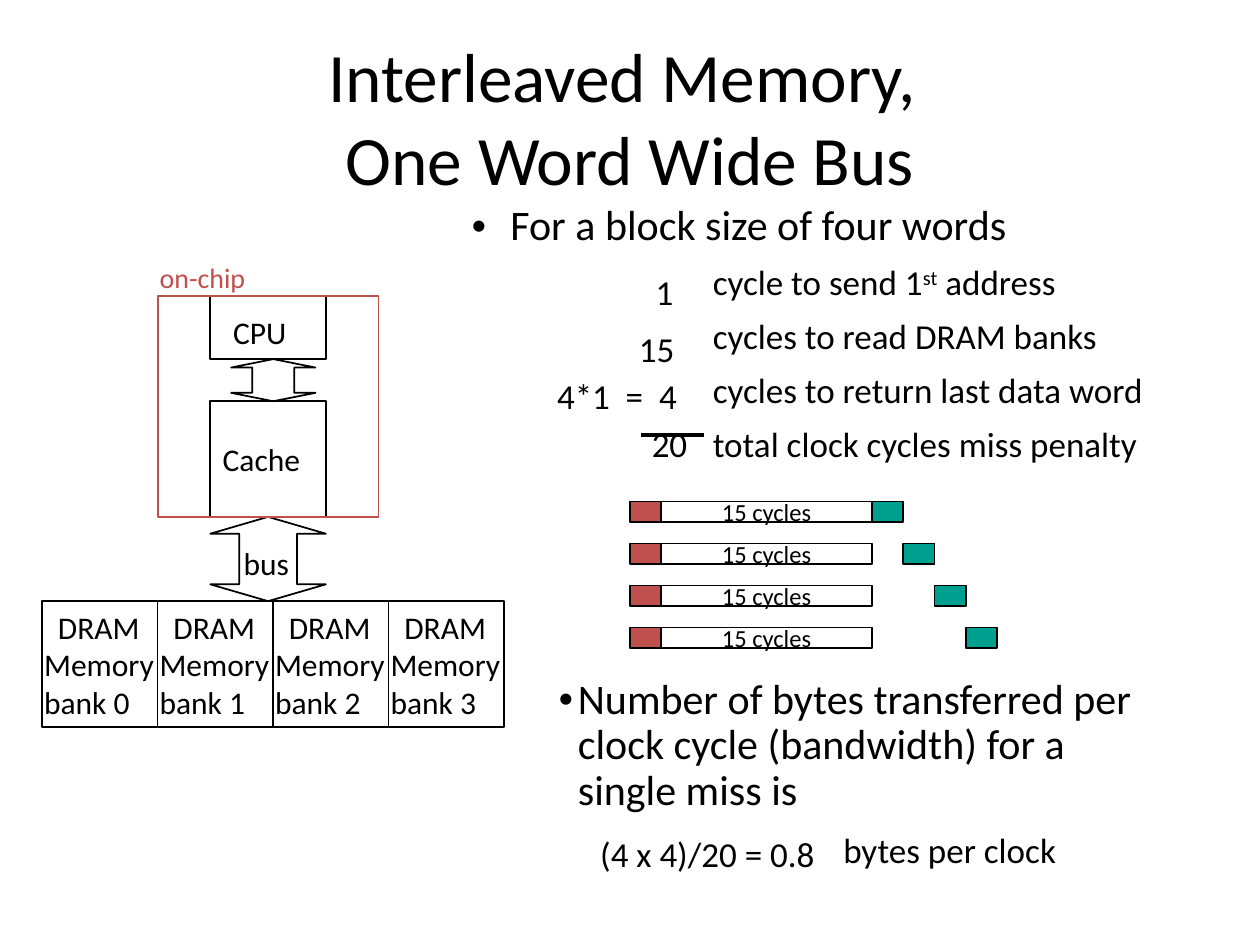
from pptx import Presentation
from pptx.dml.color import RGBColor
from pptx.enum.shapes import MSO_CONNECTOR, MSO_SHAPE
from pptx.enum.text import MSO_ANCHOR, MSO_AUTO_SIZE, PP_ALIGN
from pptx.oxml.ns import qn
from pptx.util import Cm, Pt
from lxml import etree

RECT, ARROW = MSO_SHAPE.RECTANGLE, MSO_SHAPE.UP_DOWN_ARROW
STRAIGHT = MSO_CONNECTOR.STRAIGHT
MIDDLE = MSO_ANCHOR.MIDDLE
LEFT, CENTER = PP_ALIGN.LEFT, PP_ALIGN.CENTER
NO_FIT = MSO_AUTO_SIZE.NONE
BLACK = RGBColor(0x00, 0x00, 0x00)
RED = RGBColor(0xC0, 0x50, 0x4D)
TEAL = RGBColor(0x00, 0xA0, 0x91)
FONT = "Calibri"


def write(p, text, size=18, color=BLACK, align=LEFT, left=0, hang=0,
          spacing=None, before=0, bullet=False):
    p.alignment = align
    p.space_before = Pt(before)
    if spacing:
        p.line_spacing = spacing
    pPr = p._p.get_or_add_pPr()
    pPr.set("marL", str(Cm(left)))
    pPr.set("indent", str(-Cm(hang)))
    if bullet:
        etree.SubElement(pPr, qn("a:buSzPct"), val="75000")
        etree.SubElement(pPr, qn("a:buFont"), typeface=FONT)
        etree.SubElement(pPr, qn("a:buChar"), char="•")
    for n, line in enumerate(text.split("\n")):
        if n:
            p.add_line_break()
        for k, part in enumerate(line.split("^")):
            r = p.add_run()
            r.text = part
            r.font.name, r.font.size = FONT, Pt(size)
            r.font.color.rgb = color
            if k % 2:
                r.font._element.set("baseline", "30000")


def add_text(s, x, y, w, h, paragraphs, inset=(0.25, 0.13), **fmt):
    tf = s.shapes.add_textbox(Cm(x), Cm(y), Cm(w), Cm(h)).text_frame
    tf.word_wrap = True
    tf.margin_left = tf.margin_right = Cm(inset[0])
    tf.margin_top = tf.margin_bottom = Cm(inset[1])
    for n, (text, own) in enumerate(paragraphs):
        p = tf.add_paragraph() if n else tf.paragraphs[0]
        write(p, text, **{**fmt, **own})


def add_box(shapes, x, y, w, h, kind=RECT, fill=None, line=BLACK):
    sp = shapes.add_shape(kind, Cm(x), Cm(y), Cm(w), Cm(h))
    sp.shadow.inherit = False
    if fill is None:
        sp.fill.background()
    else:
        sp.fill.solid()
        sp.fill.fore_color.rgb = fill
    sp.line.color.rgb = line
    sp.line.width = Pt(1)
    return sp


def add_arrow(s, x, y, w, h, shaft=0.5, head=0.2):
    sp = add_box(s.shapes, x, y, w, h, ARROW)
    geometry = sp._element.spPr.find(qn("a:prstGeom"))
    guides = geometry.find(qn("a:avLst"))
    for guide in list(guides):
        guides.remove(guide)
    for name, value in (("adj1", shaft), ("adj2", head)):
        etree.SubElement(guides, qn("a:gd"), name=name,
                         fmla=f"val {round(value * 100000)}")


def title(s, x, y, w, h):
    sp = s.shapes.title
    sp.left, sp.top, sp.width, sp.height = Cm(x), Cm(y), Cm(w), Cm(h)
    tf = sp.text_frame
    tf.auto_size, tf.vertical_anchor = NO_FIT, MIDDLE
    write(tf.paragraphs[0], "Interleaved Memory, \nOne Word Wide Bus",
          size=39.6, align=CENTER)


def processor(s, x, y, w, h):
    core_x, core_w = x + 1.06, 2.33
    add_box(s.shapes, core_x, y, core_w, 1.27)
    add_text(s, core_x + 0.21, y + 0.22, 2.15, 1.02, [("CPU", {})])
    add_arrow(s, core_x + 0.42, y + 1.27, 1.7, 0.85)
    add_box(s.shapes, core_x, y + 2.12, core_w, 2.33)
    add_text(s, core_x, y + 2.77, 2.54, 1.02, [("Cache", {})])
    add_arrow(s, core_x, y + h, core_w, 1.7)
    add_text(s, core_x + 0.42, y + h + 0.42, 1.9, 1.02, [("bus", {})])
    add_box(s.shapes, x, y, w, h, line=RED)
    add_text(s, x - 0.21, y - 0.85, 2.36, 0.94,
             [("on-chip", {"size": 16, "color": RED})])


def memory_banks(s, x, y, w, h, count=4):
    step = w / count
    for n in range(count):
        left = x + n * step
        add_box(s.shapes, left, y, step, h)
        add_text(s, left - 0.21, y, 2.97, h,
                 [("DRAM", {"left": 0.28}), ("Memory", {}),
                  (f"bank {n}", {})])


def miss_penalty(s, x, y, w, h):
    rows = ["cycle to send 1^st^ address", "cycles to read DRAM banks",
            "cycles to return last data word",
            "total clock cycles miss penalty"]
    heading = ("For a block size of four words",
               {"size": 24, "left": 0.79, "hang": 0.79, "spacing": 0.9,
                "bullet": True})
    add_text(s, x, y, w, h, [heading] + [(row, {}) for row in rows],
             inset=(0.18, 0.08), size=20, left=4.87, spacing=0.95, before=8)
    counts = [("1", 3.85, 0), ("15", 3.51, 13), ("4*1  =  4", 1.86, 8),
              ("20", 3.77, 8)]
    add_text(s, x - 0.13, y + 1.5, 5.72, 5.18,
             [(text, {"left": left, "before": before})
              for text, left, before in counts],
             inset=(0.18, 0.08), size=20, spacing=0.8)
    line = s.shapes.add_connector(STRAIGHT, Cm(x + 3.61), Cm(y + 4.72),
                                  Cm(x + 4.88), Cm(y + 4.72))
    line.line.color.rgb = BLACK
    line.line.width = Pt(2.25)
    etree.SubElement(line._element.spPr, qn("a:effectLst"))


def timing(s, x, y, w, h, count=4):
    bar_h, cell = 0.42, 0.63
    read_w = w - cell * (count + 1)
    step = (h - bar_h) / (count - 1)
    for n in range(count):
        shapes = s.shapes.add_group_shape().shapes
        top = y + n * step
        add_box(shapes, x, top, cell, bar_h, fill=RED)
        read = add_box(shapes, x + cell, top, read_w, bar_h)
        tf = read.text_frame
        tf.word_wrap, tf.vertical_anchor = False, MIDDLE
        write(tf.paragraphs[0], "15 cycles", size=14, align=CENTER)
        add_box(shapes, x + read_w + cell * (n + 1), top, cell, bar_h,
                fill=TEAL)


def bandwidth(s, x, y, w, h):
    add_text(s, x, y, w, h, [
        ("Number of bytes transferred per\nclock cycle (bandwidth) for a\n"
         "single miss is",
         {"size": 24, "left": 0.4, "hang": 0.4, "spacing": 0.9,
          "bullet": True}),
        ("bytes per clock",
         {"size": 20, "left": 5.75, "spacing": 0.95, "before": 10})])
    add_text(s, x - 0.42, y + 3.17, 7.83, 1.07,
             [("(4 x 4)/20 = 0.8",
               {"size": 20, "left": 1.27, "spacing": 0.95})])


def main():
    prs = Presentation()
    prs.slide_width, prs.slide_height = Cm(25.4), Cm(19.05)
    s = prs.slides.add_slide(prs.slide_layouts[5])
    title(s, 1.27, 0.76, 22.86, 3.18)
    miss_penalty(s, 9.32, 4.04, 15.44, 7.01)
    processor(s, 3.18, 5.97, 4.45, 4.45)
    memory_banks(s, 0.85, 12.12, 9.31, 2.54)
    timing(s, 12.7, 10.11, 7.4, 2.96)
    bandwidth(s, 11, 13.54, 12.7, 4.27)
    prs.save("out.pptx")


if __name__ == "__main__":
    main()
